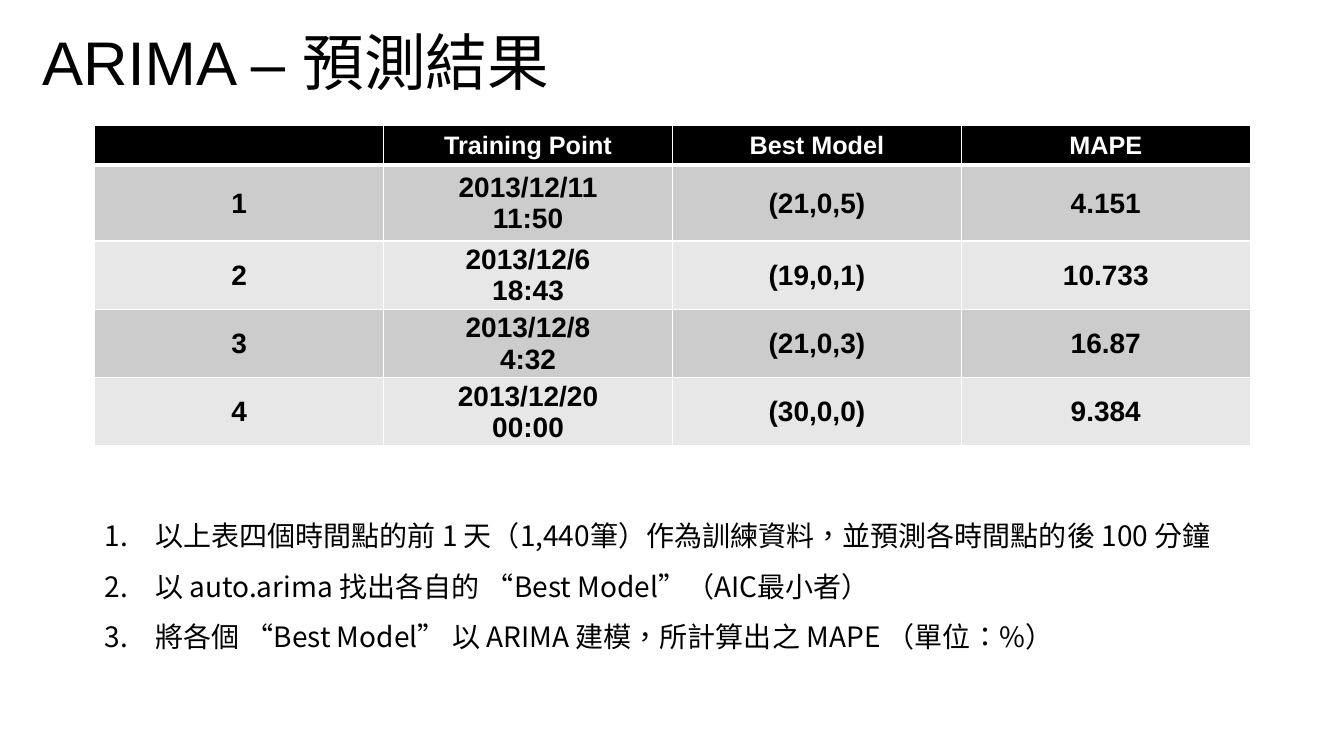
from lxml import etree
from pptx import Presentation
from pptx.dml.color import RGBColor as RGB
from pptx.enum.text import MSO_ANCHOR as Anchor, PP_ALIGN as Align
from pptx.oxml.ns import qn
from pptx.util import Inches, Pt

COLORS = {"ink": "000000", "paper": "FFFFFF", "dark": "CCCCCC", "light": "E7E7E7"}
SANS, CJK = "Arial", "Noto Sans CJK SC"
HEAD = ["", "Training Point", "Best Model", "MAPE"]
ROWS = [
    ["1", "2013/12/11\n11:50", "(21,0,5)", "4.151"],
    ["2", "2013/12/6\n18:43", "(19,0,1)", "10.733"],
    ["3", "2013/12/8\n4:32", "(21,0,3)", "16.87"],
    ["4", "2013/12/20\n00:00", "(30,0,0)", "9.384"],
]
HEIGHTS = [0.4, 0.75, 0.67, 0.67, 0.67]
NOTES = [
    "以上表四個時間點的前 1 天（1,440筆）作為訓練資料，並預測各時間點的後 100 分鐘",
    "以 auto.arima 找出各自的 “Best Model”（AIC最小者）",
    "將各個 “Best Model” 以 ARIMA 建模，所計算出之 MAPE （單位：%）",
]


def style(para, size, face=SANS, color="ink", bold=False):
    font = para.font
    font.size, font.name, font.bold = Pt(size), face, bold
    font.color.rgb = RGB.from_string(COLORS[color])
    props = para._p.pPr.get_or_add_defRPr()
    props.set("lang", "zh-TW")
    latin = props.find(qn("a:latin"))
    east = etree.Element(qn("a:ea"), typeface=CJK)
    latin.addnext(east)


def number(para):
    """Give the paragraph an automatic number and a hanging indent."""
    props = para._p.get_or_add_pPr()
    props.set("marL", str(Inches(0.5)))
    props.set("indent", str(-Inches(0.5)))
    etree.SubElement(props, qn("a:buFont"), typeface="+mj-lt")
    etree.SubElement(props, qn("a:buAutoNum"), type="arabicPeriod")


def add_text(slide, place, lines, anchor=Anchor.TOP):
    box = slide.shapes.add_textbox(*map(Inches, place))
    frame = box.text_frame
    frame.word_wrap = True
    frame.vertical_anchor = anchor
    frame.text = "\n".join(lines)
    return frame.paragraphs


def add_title(slide):
    para = add_text(slide, (0.32, 0.22, 11.5, 0.81),
                    ["ARIMA – 預測結果"], Anchor.BOTTOM)[0]
    para.line_spacing = 0.9
    style(para, 44)


def add_notes(slide):
    for para in add_text(slide, (0.94, 4.93, 12.31, 2.06), NOTES):
        para.line_spacing = 1.5
        number(para)
        style(para, 20, CJK)


def add_borders(cell, base):
    """Draw thin white sides, with a bottom line of the given width."""
    props = cell._tc.get_or_add_tcPr()
    sides = {"lnL": 1, "lnR": 1, "lnT": 1, "lnB": base}
    for at, (side, width) in enumerate(sides.items()):
        line = etree.Element(qn(f"a:{side}"), w=str(Pt(width)))
        fill = etree.SubElement(line, qn("a:solidFill"))
        etree.SubElement(fill, qn("a:srgbClr"), val=COLORS["paper"])
        props.insert(at, line)


def fill_cell(cell, text, fill, size, color, base=1):
    cell.margin_left = cell.margin_right = cell.margin_top = Inches(0.01)
    cell.margin_bottom = 0
    cell.vertical_anchor = Anchor.MIDDLE
    cell.fill.solid()
    cell.fill.fore_color.rgb = RGB.from_string(COLORS[fill])
    add_borders(cell, base)
    cell.text = text
    for para in cell.text_frame.paragraphs:
        para.alignment = Align.CENTER
        style(para, size, color=color, bold=True)


def add_results(slide):
    place = map(Inches, (0.94, 1.24, 11.46, sum(HEIGHTS)))
    table = slide.shapes.add_table(len(HEIGHTS), len(HEAD), *place).table
    for row, height in zip(table.rows, HEIGHTS):
        row.height = Inches(height)
    for col, text in enumerate(HEAD):
        fill_cell(table.cell(0, col), text, "ink", 18, "paper", base=3)
    for row, texts in enumerate(ROWS, 1):
        fill = "dark" if row % 2 else "light"
        for col, text in enumerate(texts):
            fill_cell(table.cell(row, col), text, fill, 20, "ink")


def main():
    deck = Presentation()
    deck.slide_width, deck.slide_height = Inches(13.33), Inches(7.5)
    slide = deck.slides.add_slide(deck.slide_layouts[6])
    add_notes(slide)
    add_results(slide)
    add_title(slide)
    deck.save("out.pptx")


if __name__ == "__main__":
    main()
